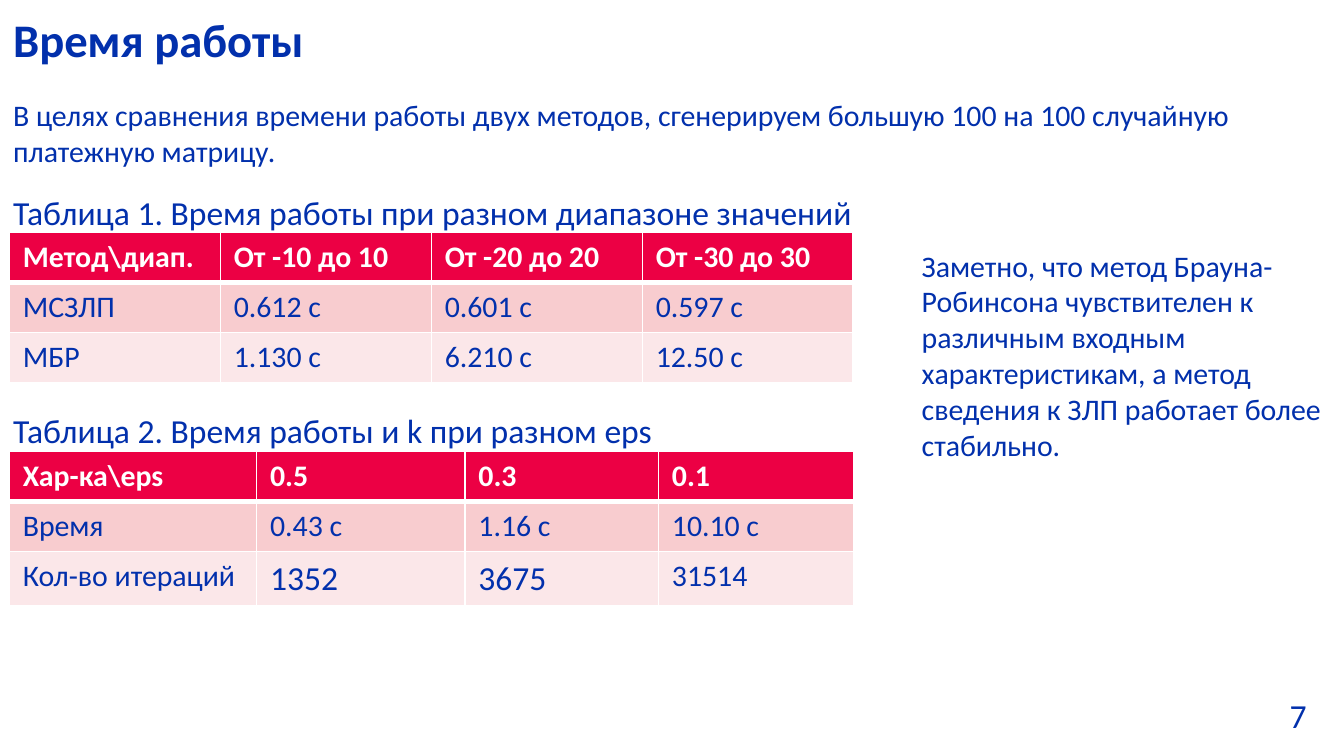
import dataclasses

import lxml.etree
import pptx
import pptx.dml.color
import pptx.enum.text
import pptx.oxml.ns
import pptx.slide
import pptx.table
import pptx.text.text
import pptx.util

Inches = pptx.util.Inches
RGBColor = pptx.dml.color.RGBColor
Align = pptx.enum.text.PP_ALIGN
Anchor = pptx.enum.text.MSO_ANCHOR

BLUE = RGBColor(0x02, 0x30, 0xAC)
RED = RGBColor(0xEC, 0x00, 0x44)
PINK = RGBColor(0xF8, 0xCC, 0xCF)
PALE_PINK = RGBColor(0xFB, 0xE7, 0xE9)
WHITE = RGBColor(0xFF, 0xFF, 0xFF)
ROW_FILLS = (RED, PINK, PALE_PINK)
ROW_HEIGHT = Inches(0.35)


@dataclasses.dataclass(frozen=True)
class Note:
    """A text block with its place in inches."""
    text: str
    left: float
    top: float
    width: float
    height: float
    size: int = 16
    bold: bool = False
    wrap: bool = True
    align: Align = Align.LEFT
    anchor: Anchor = Anchor.TOP


@dataclasses.dataclass(frozen=True)
class Timing:
    """A timing table; large holds the (row, column) cells set at 18 pt."""
    top: float
    columns: tuple[float, ...]
    rows: tuple[tuple[str, ...], ...]
    large: tuple[tuple[int, int], ...] = ()


NOTES = (
    Note("7", 9.17, 5.12, 0.65, 0.4, size=18, align=Align.RIGHT),
    Note("Время работы", 0, 0.07, 9.56, 0.48, size=25, bold=True, anchor=Anchor.BOTTOM),
    Note("В целях сравнения времени работы двух методов, сгенерируем большую "
         "100 на 100 случайную платежную матрицу.", 0, 0.67, 9.56, 0.64),
    Note("Таблица 1. Время работы при разном диапазоне значений",
         0, 1.38, 6.57, 0.4, size=18, wrap=False),
    Note("Таблица 2. Время работы и k при разном eps",
         0, 3, 5.01, 0.4, size=18, wrap=False),
    Note("Заметно, что метод Брауна-Робинсона чувствителен к различным входным "
         "характеристикам, а метод сведения к ЗЛП работает более стабильно.",
         6.76, 1.79, 3.36, 1.72),
)

TIMINGS = (
    Timing(1.73, (1.57,) * 4, (
        ("Метод\\диап.", "От -10 до 10", "От -20 до 20", "От -30 до 30"),
        ("МСЗЛП", "0.612 с", "0.601 с", "0.597 с"),
        ("МБР", "1.130 с", "6.210 с", "12.50 с"),
    )),
    Timing(3.36, (1.84, 1.55, 1.44, 1.45), (
        ("Хар-ка\\eps", "0.5", "0.3", "0.1"),
        ("Время", "0.43 с", "1.16 с", "10.10 с"),
        ("Кол-во итераций", "1352", "3675", "31514"),
    ), large=((2, 1), (2, 2))),
)


def write(frame: pptx.text.text.TextFrame, text: str, size: int,
          bold: bool, color: RGBColor) -> None:
    """Put one formatted run into a text frame."""
    run = frame.paragraphs[0].add_run()
    run.text = text
    formats = {"name": "Calibri", "size": pptx.util.Pt(size), "bold": bold}
    for key, value in formats.items():
        setattr(run.font, key, value)
    run.font.color.rgb = color


def add_note(slide: pptx.slide.Slide, note: Note) -> None:
    """Draw a text block."""
    place = map(Inches, (note.left, note.top, note.width, note.height))
    frame = slide.shapes.add_textbox(*place).text_frame
    formats = {"word_wrap": note.wrap, "vertical_anchor": note.anchor}
    for key, value in formats.items():
        setattr(frame, key, value)
    write(frame, note.text, note.size, note.bold, BLUE)
    frame.paragraphs[0].alignment = note.align


def add_borders(cell: pptx.table._Cell, row: int) -> None:
    """Give a cell white borders, with a thick one under the header."""
    qn = pptx.oxml.ns.qn
    properties = cell._tc.get_or_add_tcPr()
    points = {"L": 1, "R": 1, "T": 3 if row == 1 else 1, "B": 3 if row == 0 else 1}
    for side, width in points.items():
        line = lxml.etree.SubElement(properties, qn(f"a:ln{side}"), w=str(pptx.util.Pt(width)))
        fill = lxml.etree.SubElement(line, qn("a:solidFill"))
        lxml.etree.SubElement(fill, qn("a:srgbClr"), val=str(WHITE))


def add_timing(slide: pptx.slide.Slide, timing: Timing) -> None:
    """Draw a timing table, whose rows grow to fit their text."""
    table = slide.shapes.add_table(
        len(timing.rows), len(timing.columns), Inches(0.07), Inches(timing.top),
        Inches(sum(timing.columns)), ROW_HEIGHT * len(timing.rows)).table
    for column, width in zip(table.columns, timing.columns):
        column.width = Inches(width)
    for r, values in enumerate(timing.rows):
        table.rows[r].height = ROW_HEIGHT
        for c, value in enumerate(values):
            cell = table.cell(r, c)
            add_borders(cell, r)
            cell.fill.solid()
            cell.fill.fore_color.rgb = ROW_FILLS[r]
            size = 18 if (r, c) in timing.large else 16
            write(cell.text_frame, value, size, r == 0, WHITE if r == 0 else BLUE)


def main() -> None:
    """Build and save the 16:9 slide."""
    deck = pptx.Presentation()
    deck.slide_width = Inches(10)
    deck.slide_height = deck.slide_width * 9 // 16
    slide = deck.slides.add_slide(deck.slide_layouts[6])
    for timing in TIMINGS:
        add_timing(slide, timing)
    for note in NOTES:
        add_note(slide, note)
    deck.save("out.pptx")


main()
